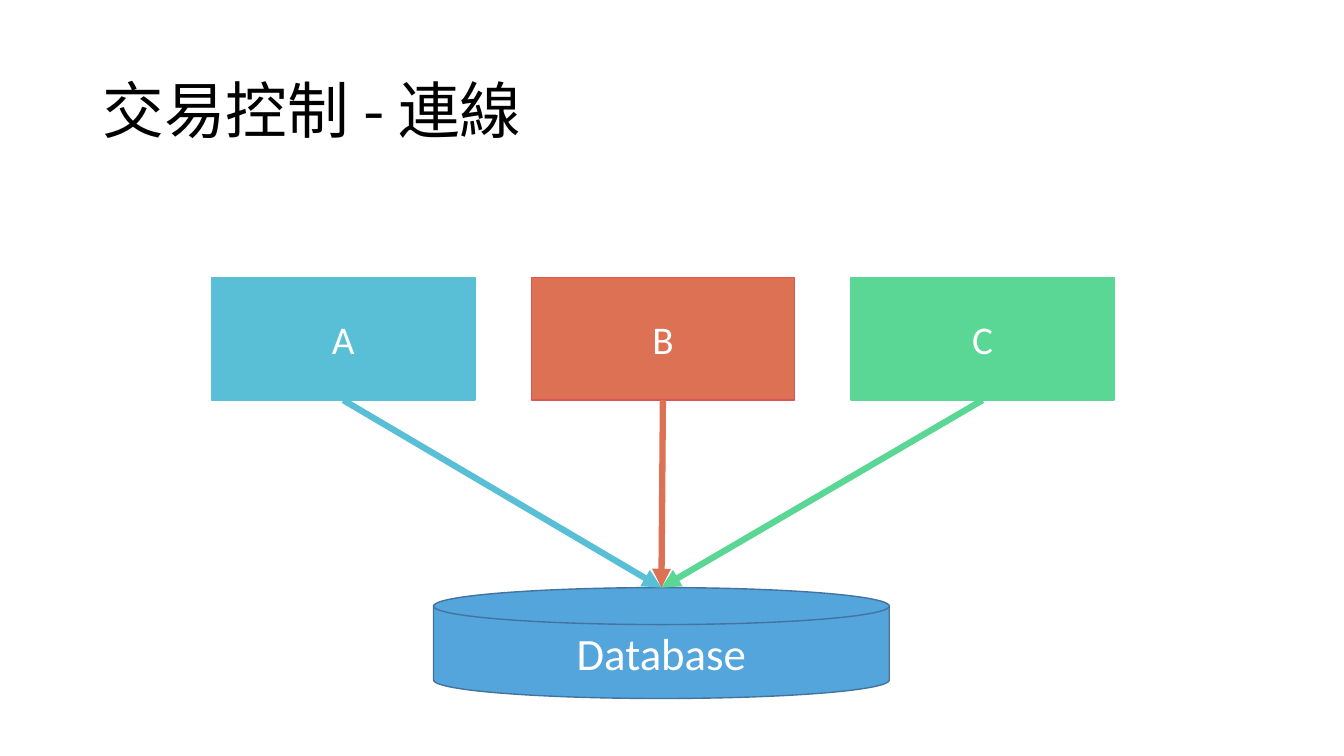
from lxml.etree import SubElement
from pptx import Presentation
from pptx.dml.color import RGBColor
from pptx.enum.shapes import MSO_CONNECTOR, MSO_SHAPE
from pptx.enum.text import MSO_ANCHOR, PP_ALIGN
from pptx.oxml.ns import qn
from pptx.util import Inches, Pt

COLORS = {
    "title": "000000",
    "label": "FFFFFF",
    "A": "59BFD7",
    "B": "DC7154",
    "B border": "DB5555",
    "C": "5AD695",
    "database": "54A5DC",
    "database border": "43739E",
}
TITLE_FONT = "Noto Sans CJK SC"
LABEL_FONT = "Calibri"
CLIENT_LEFT, CLIENT_TOP, CLIENT_STEP = 2.1, 2.75, 3.17
CLIENT_WIDTH, CLIENT_HEIGHT = 2.61, 1.22
DATABASE_LEFT, DATABASE_TOP = 4.3, 5.83
DATABASE_WIDTH, DATABASE_HEIGHT = 4.52, 1.1


def rgb(name):
    """Return the named colour."""
    return RGBColor.from_string(COLORS[name])


def write_text(shape, text, size, font_name, color, align):
    """Fill a shape with one vertically centred, formatted paragraph."""
    frame = shape.text_frame
    frame.text = text
    frame.word_wrap = True
    frame.vertical_anchor = MSO_ANCHOR.MIDDLE
    paragraph = frame.paragraphs[0]
    paragraph.alignment = align
    font = paragraph.runs[0].font
    font.size = Pt(size)
    font.name = font_name
    font.color.rgb = rgb(color)
    return paragraph


def add_title(slide, text):
    """Add the slide title."""
    title = slide.shapes.add_textbox(Inches(0.92), Inches(0.4), Inches(11.5), Inches(1.45))
    paragraph = write_text(title, text, 44, TITLE_FONT, "title", PP_ALIGN.LEFT)
    paragraph.line_spacing = 0.9
    east_asian = SubElement(paragraph.runs[0].font._element, qn("a:ea"))
    east_asian.set("typeface", TITLE_FONT)


def add_node(slide, kind, box, text, size, fill, border):
    """Add a filled, outlined and labelled diagram node."""
    node = slide.shapes.add_shape(kind, *map(Inches, box))
    node.shadow.inherit = False
    node.fill.solid()
    node.fill.fore_color.rgb = rgb(fill)
    node.line.color.rgb = rgb(border)
    node.line.width = Pt(1)
    write_text(node, text, size, LABEL_FONT, "label", PP_ALIGN.CENTER)


def add_arrow(slide, start, end, color):
    """Add a thick straight arrow from start to end."""
    arrow = slide.shapes.add_connector(MSO_CONNECTOR.STRAIGHT, *map(Inches, start + end))
    arrow.line.color.rgb = rgb(color)
    arrow.line.width = Pt(4.5)
    SubElement(arrow.line._get_or_add_ln(), qn("a:tailEnd")).set("type", "triangle")
    SubElement(arrow._element.spPr, qn("a:effectLst"))


def main():
    """Build the database connection slide."""
    deck = Presentation()
    deck.slide_width, deck.slide_height = Inches(13.33), Inches(7.5)
    slide = deck.slides.add_slide(deck.slide_layouts[6])
    add_title(slide, "交易控制 - 連線")

    client_lefts = {name: CLIENT_LEFT + i * CLIENT_STEP for i, name in enumerate("ABC")}
    client_borders = {"A": "A", "B": "B border", "C": "C"}
    for name, left in client_lefts.items():
        box = (left, CLIENT_TOP, CLIENT_WIDTH, CLIENT_HEIGHT)
        add_node(slide, MSO_SHAPE.FLOWCHART_PROCESS, box, name, 28, name, client_borders[name])

    database_box = (DATABASE_LEFT, DATABASE_TOP, DATABASE_WIDTH, DATABASE_HEIGHT)
    add_node(slide, MSO_SHAPE.FLOWCHART_MAGNETIC_DISK, database_box, "Database", 32,
             "database", "database border")

    database_entry = (DATABASE_LEFT + DATABASE_WIDTH / 2, DATABASE_TOP)
    for name, left in client_lefts.items():
        client_exit = (left + CLIENT_WIDTH / 2, CLIENT_TOP + CLIENT_HEIGHT)
        add_arrow(slide, client_exit, database_entry, name)

    deck.save("out.pptx")


if __name__ == "__main__":
    main()
